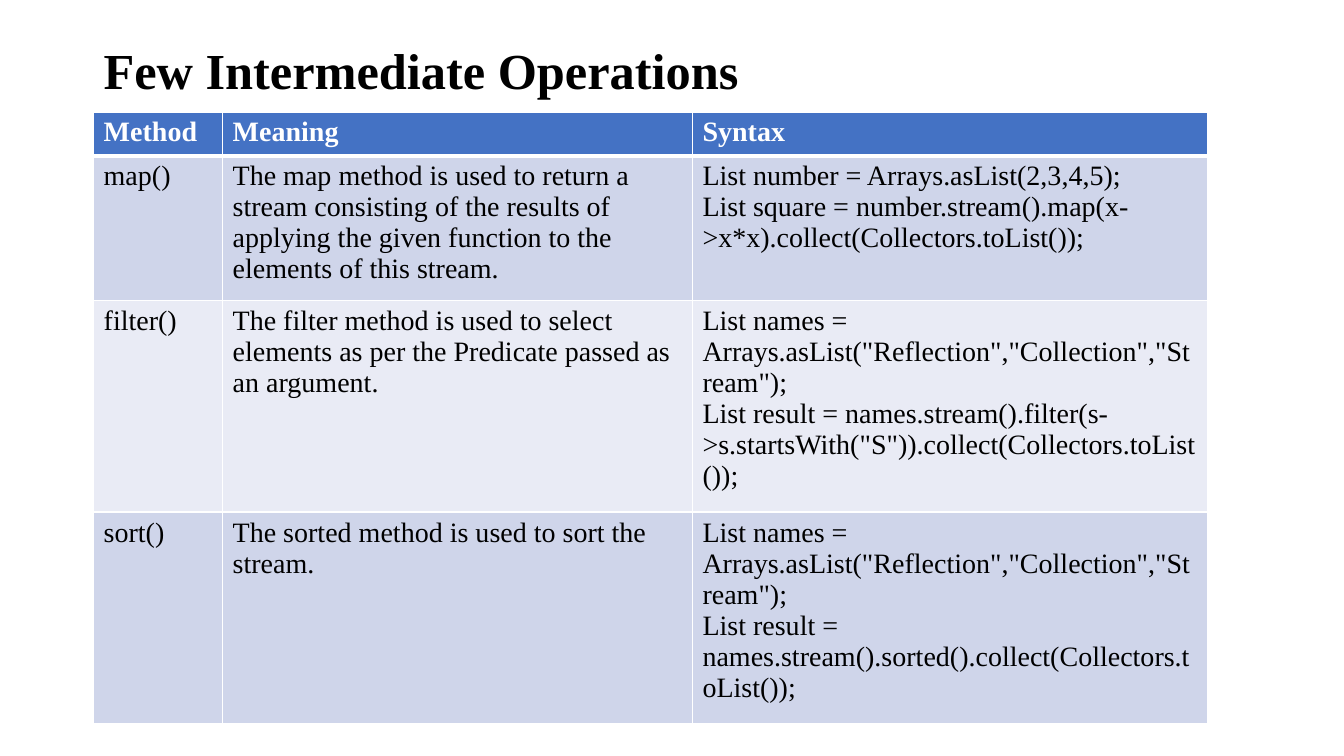
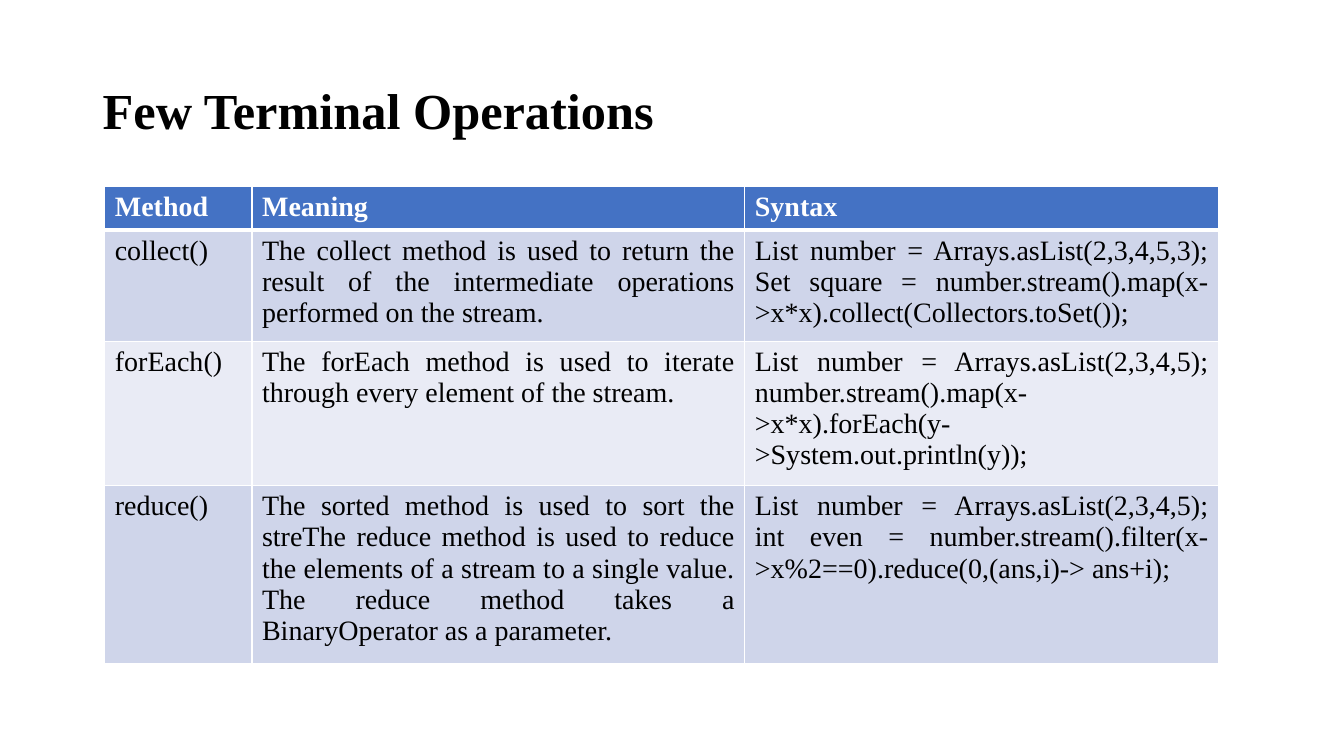
from dataclasses import dataclass

from lxml import etree
from pptx import Presentation
from pptx import util as u
from pptx.dml.color import RGBColor
from pptx.enum import text
from pptx.oxml import ns

HEAD = ("Method", "Meaning", "Syntax")
NAMES = 'List names = Arrays.asList("Reflection","Collection","Stream");'
NUMS = "List number = Arrays.asList(2,3,4,5);"

SLIDES = [
    dict(
        title="Few Intermediate Operations",
        spot=(2.36, 0),
        place=(2.36, 2.82),
        cols=(3.25, 11.84, 12.98),
        align=text.PP_ALIGN.LEFT,
        rows=[
            ("map()",
             "The map method is used to return a stream consisting of the results "
             "of applying the given function to the elements of this stream.",
             NUMS + "\nList square = number.stream().map(x->x*x)"
             ".collect(Collectors.toList());"),
            ("filter()",
             "The filter method is used to select elements as per the Predicate "
             "passed as an argument.",
             NAMES + '\nList result = names.stream().filter(s->s.startsWith("S"))'
             ".collect(Collectors.toList());"),
            ("sort()",
             "The sorted method is used to sort the stream.",
             NAMES + "\nList result = names.stream().sorted()"
             ".collect(Collectors.toList());"),
        ],
    ),
    dict(
        title="Few Terminal Operations",
        spot=(2.34, 1.02),
        place=(2.64, 4.7),
        cols=(3.71, 12.42, 11.94),
        align=text.PP_ALIGN.JUSTIFY,
        rows=[
            ("collect()",
             "The collect method is used to return the result of the intermediate "
             "operations performed on the stream.",
             "List number = Arrays.asList(2,3,4,5,3); Set square = "
             "number.stream().map(x->x*x).collect(Collectors.toSet());"),
            ("forEach()",
             "The forEach method is used to iterate through every element of the "
             "stream.",
             NUMS + " number.stream().map(x->x*x)"
             ".forEach(y->System.out.println(y));"),
            ("reduce()",
             "The sorted method is used to sort the streThe reduce method is used "
             "to reduce the elements of a stream to a single value. The reduce "
             "method takes a BinaryOperator as a parameter.",
             NUMS + " int even = number.stream().filter(x->x%2==0)"
             ".reduce(0,(ans,i)-> ans+i);"),
        ],
    ),
]


@dataclass(frozen=True)
class Theme:
    font: str = "Times New Roman"
    ink: str = "000000"
    white: str = "FFFFFF"
    head: str = "4472C4"
    bands: tuple = ("CFD5EA", "E9EBF5")
    big: int = 36
    body: int = 20
    thin: int = 1
    thick: int = 3


THEME = Theme()
TITLE_SIZE = (29.21, 3.68)
ROW = 1.04


def write(frame, words, size=THEME.body, color=THEME.ink, bold=False,
          align=text.PP_ALIGN.LEFT, space=1.0):
    frame.word_wrap = True
    frame.text = words
    for para in frame.paragraphs:
        para.alignment = align
        para.line_spacing = space
        font = para.runs[0].font
        font.name, font.size, font.bold = THEME.font, u.Pt(size), bold
        font.color.rgb = RGBColor.from_string(color)


def edge(cell, side, width):
    props = cell._tc.get_or_add_tcPr()
    line = etree.SubElement(props, ns.qn("a:ln" + side), w=str(u.Pt(width)))
    fill = etree.SubElement(line, ns.qn("a:solidFill"))
    etree.SubElement(fill, ns.qn("a:srgbClr"), val=THEME.white)


def add_title(slide, data):
    box = slide.shapes.add_textbox(*map(u.Cm, data["spot"] + TITLE_SIZE))
    box.text_frame.vertical_anchor = text.MSO_ANCHOR.MIDDLE
    write(box.text_frame, data["title"], size=THEME.big, bold=True, space=0.9)


def add_grid(slide, data):
    rows, cols = [HEAD] + data["rows"], data["cols"]
    size = (sum(cols), ROW * len(rows))
    table = slide.shapes.add_table(
        len(rows), len(cols), *map(u.Cm, data["place"] + size)).table
    for col, width in zip(table.columns, cols):
        col.width = u.Cm(width)
    for r, row in enumerate(rows):
        top = r == 0
        back = THEME.head if top else THEME.bands[(r - 1) % 2]
        widths = dict(L=THEME.thin, R=THEME.thin,
                      T=THEME.thick if r == 1 else THEME.thin,
                      B=THEME.thick if top else THEME.thin)
        for c, words in enumerate(row):
            cell = table.cell(r, c)
            for side, width in widths.items():
                edge(cell, side, width)
            cell.fill.solid()
            cell.fill.fore_color.rgb = RGBColor.from_string(back)
            write(cell.text_frame, words, bold=top, align=data["align"],
                  color=THEME.white if top else THEME.ink)


def main():
    deck = Presentation()
    deck.slide_width, deck.slide_height = u.Cm(33.87), u.Cm(19.05)
    for data in SLIDES:
        slide = deck.slides.add_slide(deck.slide_layouts[6])
        add_title(slide, data)
        add_grid(slide, data)
    deck.save("out.pptx")


if __name__ == "__main__":
    main()
